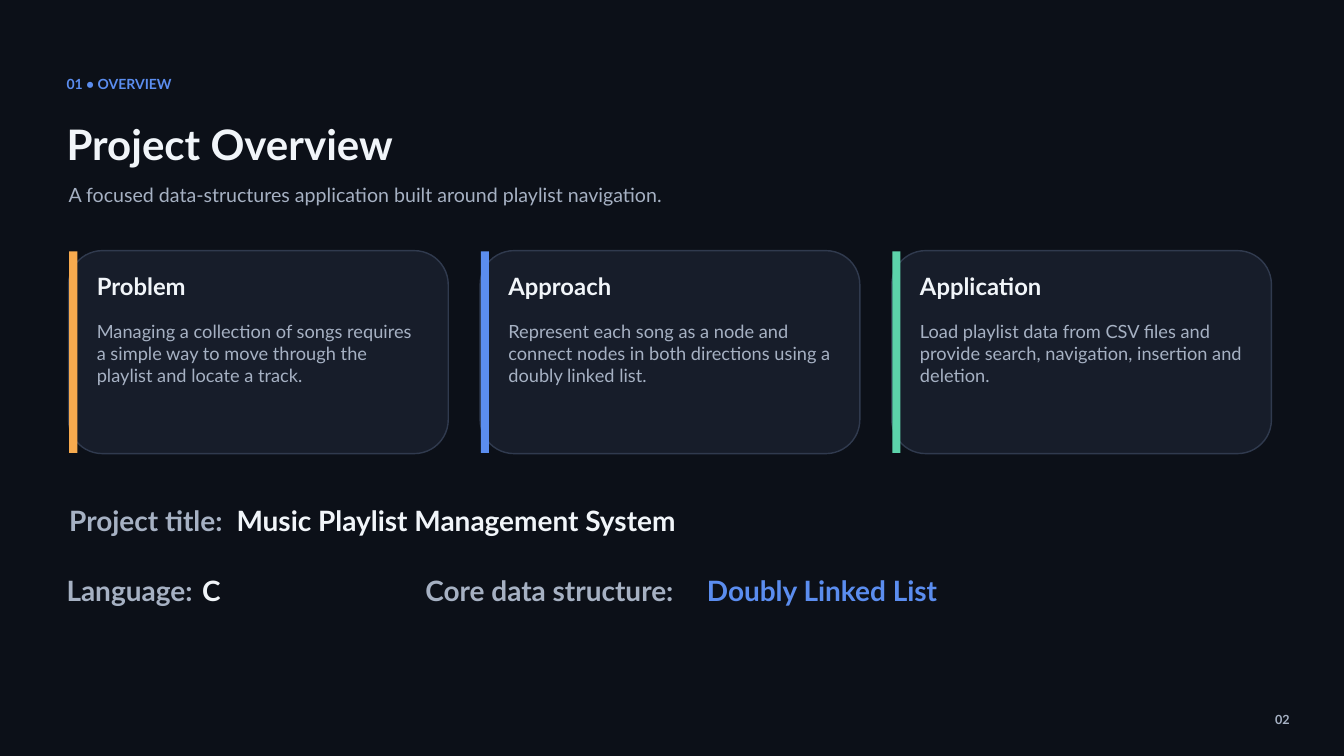
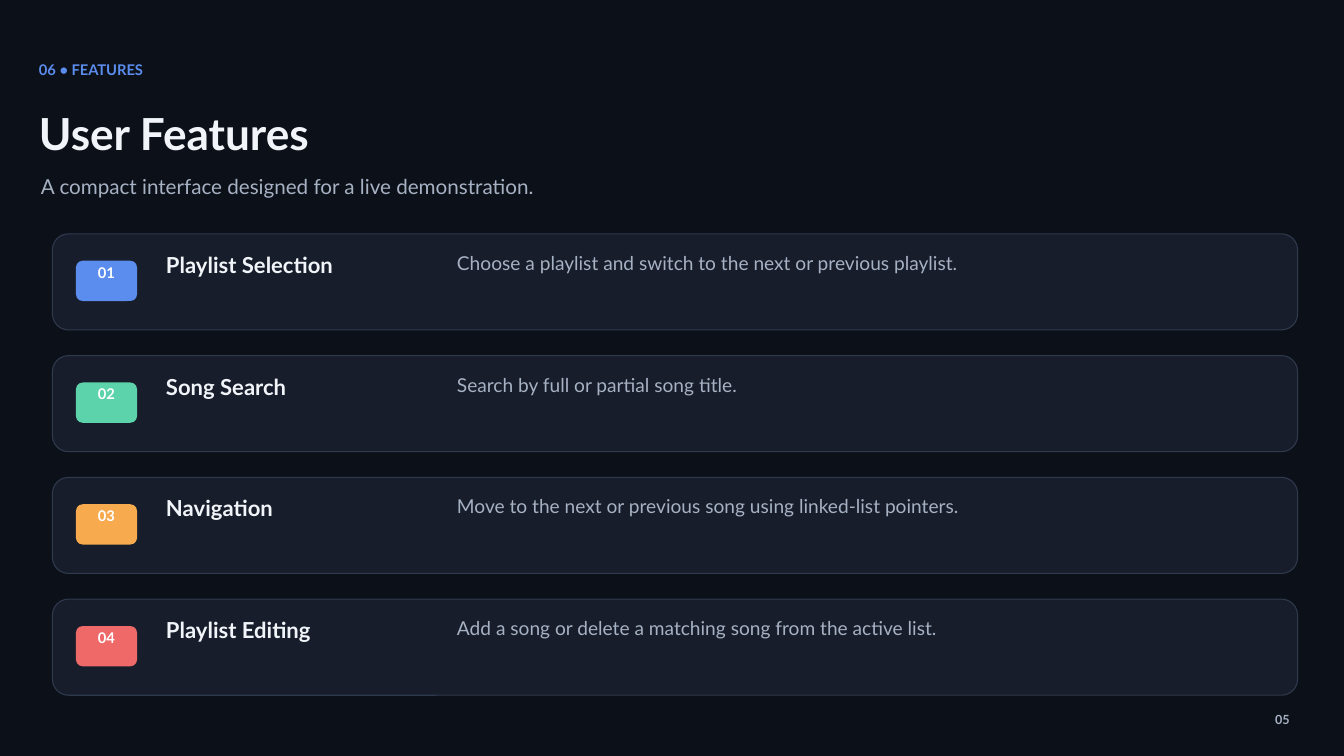
from pptx import Presentation
from pptx.dml.color import RGBColor
from pptx.enum.shapes import MSO_SHAPE as Shape
from pptx.enum.text import MSO_ANCHOR as Anchor, PP_ALIGN as Align
from pptx.util import Inches, Pt

FONT = "Lato"
BACKGROUND, CARD, CARD_LINE = "0C1018", "171D2A", "303A4E"
LIGHT, MUTED, WHITE = "F1F5F9", "A6B1C3", "FFFFFF"
BLUE, GREEN, ORANGE, RED = "5B8DEF", "5CD3AA", "F7AA4E", "EF6969"


def add_text(slide, text, box, size, color, bold=True, align=Align.LEFT):
    text_box = slide.shapes.add_textbox(*[Inches(value) for value in box])
    frame = text_box.text_frame
    frame.word_wrap = True
    frame.vertical_anchor = Anchor.TOP
    frame.margin_left = frame.margin_right = frame.margin_top = frame.margin_bottom = 0
    paragraph = frame.paragraphs[0]
    paragraph.alignment = align
    paragraph.line_spacing = Pt(size * 1.2)
    run = paragraph.add_run()
    run.text = text
    run.font.name = FONT
    run.font.size = Pt(size)
    run.font.bold = bold
    run.font.color.rgb = RGBColor.from_string(color)


def add_block(slide, kind, box, fill, line_width=0):
    """Add a filled shape, outlined only when a line width is given."""
    shape = slide.shapes.add_shape(kind, *[Inches(value) for value in box])
    shape.shadow.inherit = False
    shape.fill.solid()
    shape.fill.fore_color.rgb = RGBColor.from_string(fill)
    if line_width:
        shape.line.color.rgb = RGBColor.from_string(CARD_LINE)
        shape.line.width = Pt(line_width)
    else:
        shape.line.fill.background()


presentation = Presentation()
presentation.slide_width = Inches(20)
presentation.slide_height = Inches(11.25)

# Section label, title, subtitle and page number; the second header is 5% larger
headers = [
    ("01 • OVERVIEW", "Project Overview",
     "A focused data-structures application built around playlist navigation.",
     "02", 0.99, (1.12, 1.77, 2.72), 1),
    ("06 • FEATURES", "User Features",
     "A compact interface designed for a live demonstration.",
     "05", 0.58, (0.9, 1.59, 2.59), 1.05),
]
slides = []
for label, title, subtitle, page, left, tops, scale in headers:
    slide = presentation.slides.add_slide(presentation.slide_layouts[6])
    slide.background.fill.solid()
    slide.background.fill.fore_color.rgb = RGBColor.from_string(BACKGROUND)
    label_top, title_top, subtitle_top = tops
    add_text(slide, label, (left, label_top, 5.94 * scale, 0.36), 15 * scale, BLUE)
    add_text(slide, title, (left, title_top, 17.95 * scale, 0.88), 45 * scale, LIGHT)
    add_text(slide, subtitle, (left + 0.03, subtitle_top, 17.65 * scale, 0.67),
             21 * scale, MUTED, bold=False)
    add_text(slide, page, (18.57, 10.6, 0.62, 0.23), 13.5, MUTED, align=Align.RIGHT)
    slides.append(slide)
overview, features = slides

# Overview: three cards with an accent bar
cards = [
    ("Problem", ORANGE, "Managing a collection of songs requires a simple way to move "
     "through the playlist and locate a track."),
    ("Approach", BLUE, "Represent each song as a node and connect nodes in both "
     "directions using a doubly linked list."),
    ("Application", GREEN, "Load playlist data from CSV files and provide search, "
     "navigation, insertion and deletion."),
]
for index, (heading, accent, body) in enumerate(cards):
    left = 1.02 + index * 6.125
    add_block(overview, Shape.ROUNDED_RECTANGLE, (left, 3.73, 5.65, 3.02), CARD, 1.5)
    add_block(overview, Shape.RECTANGLE, (left + 0.01, 3.74, 0.12, 3), accent)
    add_text(overview, heading, (left + 0.42, 4.05, 4.89, 0.51), 25.5, LIGHT)
    add_text(overview, body, (left + 0.42, 4.77, 4.89, 1.75), 19.5, MUTED, bold=False)

# Overview: project facts
facts = [
    ("Project title:", 1.03, 7.49, 2.49, MUTED),
    ("Music Playlist Management System", 3.52, 7.49, 6.82, LIGHT),
    ("Language:", 0.99, 8.54, 1.97, MUTED),
    ("C", 3.01, 8.54, 2.94, LIGHT),
    ("Core data structure:", 6.33, 8.54, 3.84, MUTED),
    ("Doubly Linked List", 10.52, 8.54, 3.5, BLUE),
]
for text, left, top, width, color in facts:
    add_text(overview, text, (left, top, width, 0.5), 30, color)

# Features: four numbered rows
feature_rows = [
    ("Playlist Selection", BLUE,
     "Choose a playlist and switch to the next or previous playlist."),
    ("Song Search", GREEN, "Search by full or partial song title."),
    ("Navigation", ORANGE,
     "Move to the next or previous song using linked-list pointers."),
    ("Playlist Editing", RED,
     "Add a song or delete a matching song from the active list."),
]
for index, (name, accent, description) in enumerate(feature_rows):
    top = 3.48 + index * 1.812
    add_block(features, Shape.ROUNDED_RECTANGLE, (0.78, top, 18.53, 1.43), CARD, 1.13)
    add_block(features, Shape.ROUNDED_RECTANGLE, (1.13, top + 0.4, 0.91, 0.6), accent)
    add_text(features, f"{index + 1:02}", (1.16, top + 0.44, 0.85, 0.45), 15.75, WHITE,
             align=Align.CENTER)
    add_text(features, name, (2.47, top + 0.26, 4.51, 0.45), 23.6, LIGHT)
    add_text(features, description, (6.8, top + 0.26, 11.28, 0.64), 20.5, MUTED, bold=False)

presentation.save("out.pptx")
